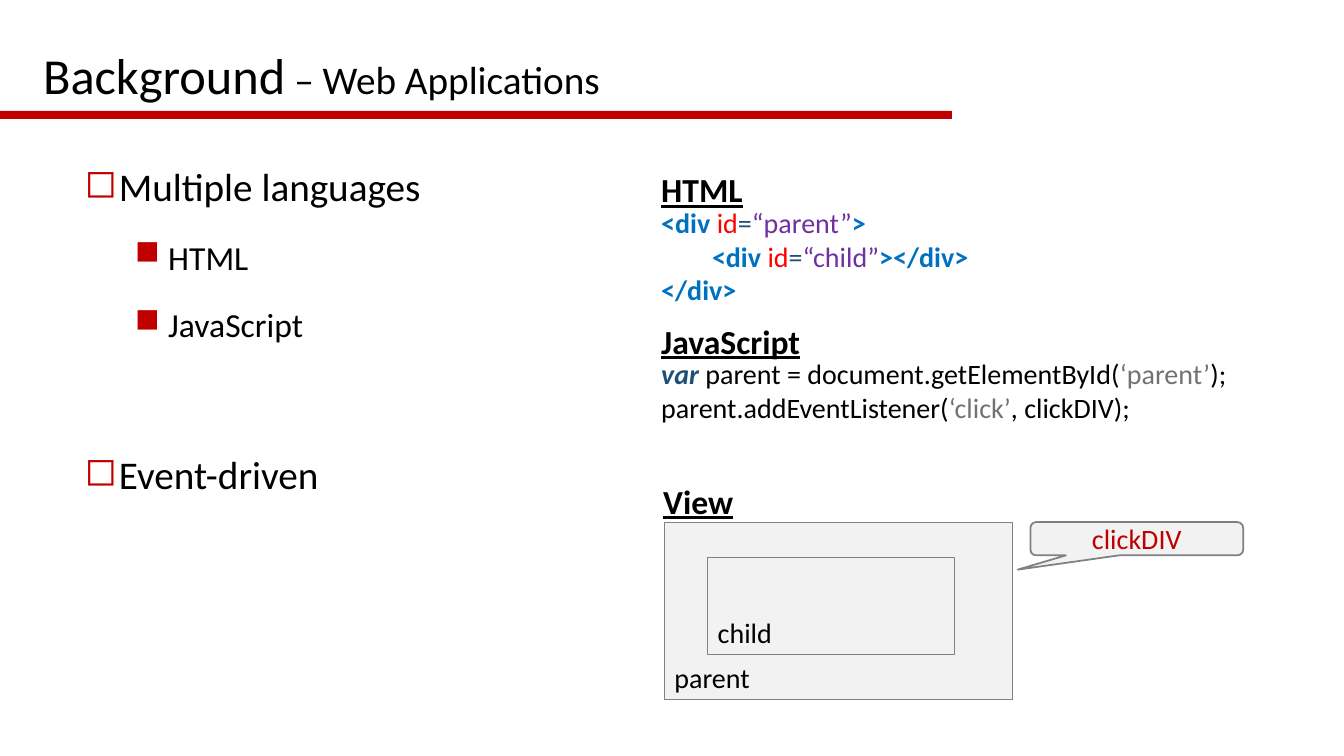
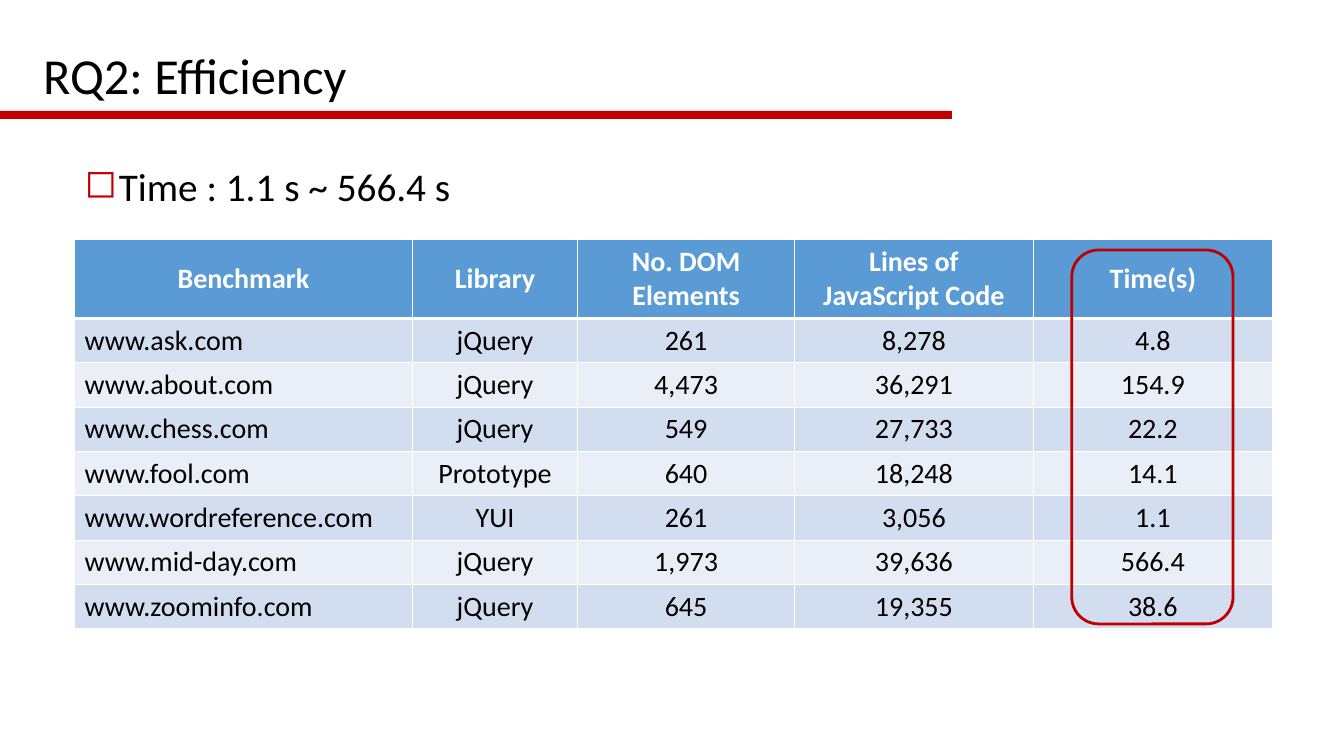
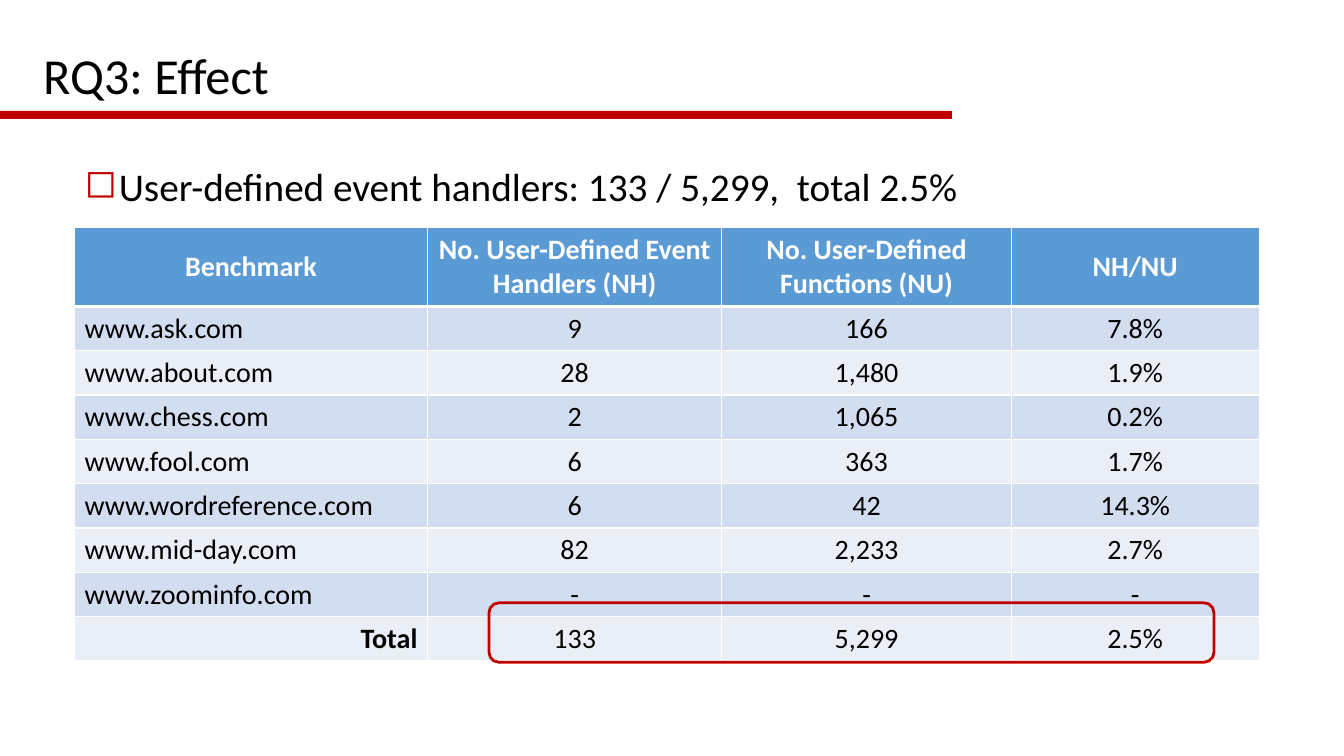
from lxml.etree import SubElement
from pptx import Presentation
from pptx.dml.color import RGBColor as RGB
from pptx.enum.shapes import MSO_SHAPE as SHAPE
from pptx.enum.text import MSO_ANCHOR as ANCHOR, PP_ALIGN as ALIGN
from pptx.oxml.ns import qn
from pptx.util import Pt

PX = 9144
FONT = "Calibri"
COLORS = {
    "black": "000000", "white": "FFFFFF", "red": "C00000",
    "panel": "F2F2F2", "outline": "808080",
    "header": "5B9BD5", "odd": "D2DEEF", "even": "EAEFF7",
    "tag": "0070C0", "attr": "FF0000", "navy": "1F4E79",
    "value": "7030A0", "string": "767171",
}
LEVELS = [
    {"size": 28, "bullet": "◻", "left": 34, "hang": 34, "before": 10},
    {"size": 24, "bullet": "■", "left": 83, "hang": 33, "before": 5},
]
SITES = ["www.ask.com", "www.about.com", "www.chess.com", "www.fool.com",
         "www.wordreference.com", "www.mid-day.com", "www.zoominfo.com"]


def color(name):
    return RGB.from_string(COLORS[name])


def px(*lengths):
    return [n * PX for n in lengths]


def style(r, size, name="black", flags=""):
    f = r.font
    f.name, f.size = FONT, Pt(size)
    f.color.rgb = color(name)
    f.bold, f.italic, f.underline = ("b" in flags, "i" in flags, "u" in flags)


def write(p, runs, size):
    for text, *look in runs:
        r = p.add_run()
        r.text = text
        style(r, size, *look)


def paragraphs(tf, count):
    return [tf.paragraphs[0]] + [tf.add_paragraph() for _ in range(count - 1)]


def text_box(slide, x, y, w, h):
    tf = slide.shapes.add_textbox(*px(x, y, w, h)).text_frame
    tf.word_wrap = True
    return tf


def shape(slide, kind, box, fill=None, line=None, width=1):
    sp = slide.shapes.add_shape(kind, *px(*box))
    sp.shadow.inherit = False
    if fill:
        sp.fill.solid()
        sp.fill.fore_color.rgb = color(fill)
    else:
        sp.fill.background()
    if line:
        sp.line.color.rgb = color(line)
        sp.line.width = Pt(width)
    else:
        sp.line.fill.background()
    return sp


def label(sp, text, name, anchor, align):
    tf = sp.text_frame
    tf.text = text
    tf.vertical_anchor = anchor
    p = tf.paragraphs[0]
    p.alignment = align
    style(p.runs[0], 20, name)


def add_slide(prs, title, subtitle=""):
    slide = prs.slides.add_slide(prs.slide_layouts[6])
    shape(slide, SHAPE.RECTANGLE, (-1, 110, 945, 8), "red")
    tf = text_box(slide, 33, 38, 1150, 79)
    tf.vertical_anchor = ANCHOR.MIDDLE
    p = tf.paragraphs[0]
    p.line_spacing = 0.9
    write(p, [(title,)], 36)
    if subtitle:
        write(p, [(" " + subtitle,)], 28)
    return slide


def bullets(slide, x, y, w, h, items):
    tf = text_box(slide, x, y, w, h)
    for i, (p, (level, text, gap)) in enumerate(zip(paragraphs(tf, len(items)), items)):
        look = LEVELS[level]
        p.line_spacing = 1.5
        if i:
            p.space_before = Pt(look["before"] + gap)
        pPr = p._p.get_or_add_pPr()
        pPr.set("marL", str(look["left"] * PX))
        pPr.set("indent", str(-look["hang"] * PX))
        SubElement(SubElement(pPr, qn("a:buClr")), qn("a:srgbClr"), val=COLORS["red"])
        SubElement(pPr, qn("a:buChar"), char=look["bullet"])
        write(p, [(text,)], look["size"])


def heading(slide, x, y, text):
    write(text_box(slide, x, y, 200, 50).paragraphs[0], [(text, "black", "bu")], 24)


def code_block(slide, x, y, w, title, lines):
    heading(slide, x, y, title)
    tf = text_box(slide, x, y + 36, w, 10 + 34 * len(lines))
    for p, runs in zip(paragraphs(tf, len(lines)), lines):
        write(p, runs, 20)


def view_panel(slide, x, y):
    heading(slide, x - 11, y - 46, "View")
    for text, box in (("parent", (x, y, 345, 176)), ("child", (x + 43, y + 35, 245, 96))):
        sp = shape(slide, SHAPE.RECTANGLE, box, "panel", "outline", 0.5)
        label(sp, text, "black", ANCHOR.BOTTOM, ALIGN.LEFT)
    sp = shape(slide, SHAPE.ROUNDED_RECTANGULAR_CALLOUT, (x + 363, y, 211, 33),
               "panel", "outline", 1.25)
    for i, value in enumerate((-0.56, 0.93, 0.17)):
        sp.adjustments[i] = value
    label(sp, "clickDIV", "red", ANCHOR.MIDDLE, ALIGN.CENTER)


def borders(cell, top, bottom):
    tcPr = cell._tc.get_or_add_tcPr()
    for side, width in (("L", 1), ("R", 1), ("T", top), ("B", bottom)):
        ln = SubElement(tcPr, qn("a:ln" + side), w=str(Pt(width)))
        SubElement(SubElement(ln, qn("a:solidFill")), qn("a:srgbClr"), val=COLORS["white"])


def table(slide, x, y, widths, rows):
    heights = [78] + [44] * (len(rows) - 1)
    frame = slide.shapes.add_table(len(rows), len(widths),
                                   *px(x, y, sum(widths), sum(heights)))
    tbl = frame.table
    for col, w in zip(tbl.columns, widths):
        col.width = w * PX
    for i, (row, h) in enumerate(zip(rows, heights)):
        tbl.rows[i].height = h * PX
        total = row[0] == "Total"
        for j, text in enumerate(row):
            cell = tbl.cell(i, j)
            borders(cell, 3 if i == 1 else 1, 1 if i else 3)
            cell.fill.solid()
            cell.fill.fore_color.rgb = color(("odd" if i % 2 else "even") if i else "header")
            cell.vertical_anchor = ANCHOR.TOP if i else ANCHOR.MIDDLE
            cell.text_frame.text = text
            bold = i == 0 or (total and j == 0)
            for p in cell.text_frame.paragraphs:
                p.alignment = ALIGN.CENTER
                if i and j == 0:
                    p.alignment = ALIGN.RIGHT if total else ALIGN.LEFT
                style(p.runs[0], 20, "black" if i else "white", "b" if bold else "")


def background_slide(prs):
    slide = add_slide(prs, "Background", "– Web Applications")
    bullets(slide, 74, 133, 541, 542, [
        (0, "Multiple languages", 0),
        (1, "HTML", 0),
        (1, "JavaScript", 0),
        (0, "Event-driven", 49),
    ])

    def open_div(name):
        return [("<div ", "tag", "b"), ("id", "attr"), ("=", "navy"), (name, "value")]

    code_block(slide, 646, 163, 455, "HTML", [
        open_div("“parent”") + [(">", "tag", "b")],
        [("        ", "navy")] + open_div("“child”") + [("></div>", "tag", "b")],
        [("</div>", "tag", "b")],
    ])
    code_block(slide, 646, 313, 606, "JavaScript", [
        [("var", "navy", "bi"), (" parent = document.getElementById(",),
         ("‘parent’", "string"), (");",)],
        [("parent.addEventListener(",), ("‘click’", "string"), (", clickDIV);",)],
    ])
    view_panel(slide, 659, 518)


def table_slide(prs, title, bullet, top, widths, rows, highlight):
    slide = add_slide(prs, title)
    bullets(slide, 74, 133, 1175, 80, [(0, bullet, 0)])
    table(slide, 74, top, widths, rows)
    shape(slide, SHAPE.ROUNDED_RECTANGLE, highlight, None, "red", 2)


def with_sites(header, values):
    return [header] + [(site, *row) for site, row in zip(SITES, values)]


def main():
    prs = Presentation()
    prs.slide_width, prs.slide_height = px(1333, 750)
    background_slide(prs)
    efficiency = with_sites(
        ("Benchmark", "Library", "No. DOM Elements", "Lines of\nJavaScript Code", "Time(s)"), [
            ("jQuery", "261", "8,278", "4.8"),
            ("jQuery", "4,473", "36,291", "154.9"),
            ("jQuery", "549", "27,733", "22.2"),
            ("Prototype", "640", "18,248", "14.1"),
            ("YUI", "261", "3,056", "1.1"),
            ("jQuery", "1,973", "39,636", "566.4"),
            ("jQuery", "645", "19,355", "38.6"),
        ])
    table_slide(prs, "RQ2: Efficiency", "Time : 1.1 s ~ 566.4 s", 238,
                (335, 164, 215, 237, 237), efficiency, (1063, 248, 160, 371))
    effect = with_sites(
        ("Benchmark", "No. User-Defined Event Handlers (NH)",
         "No. User-Defined Functions (NU)", "NH/NU"), [
            ("9", "166", "7.8%"),
            ("28", "1,480", "1.9%"),
            ("2", "1,065", "0.2%"),
            ("6", "363", "1.7%"),
            ("6", "42", "14.3%"),
            ("82", "2,233", "2.7%"),
            ("-", "-", "-"),
        ]) + [("Total", "133", "5,299", "2.5%")]
    table_slide(prs, "RQ3: Effect", "User-defined event handlers: 133 / 5,299,  total 2.5%", 226,
                (350, 292, 287, 246), effect, (485, 598, 719, 59))
    prs.save("out.pptx")


if __name__ == "__main__":
    main()
